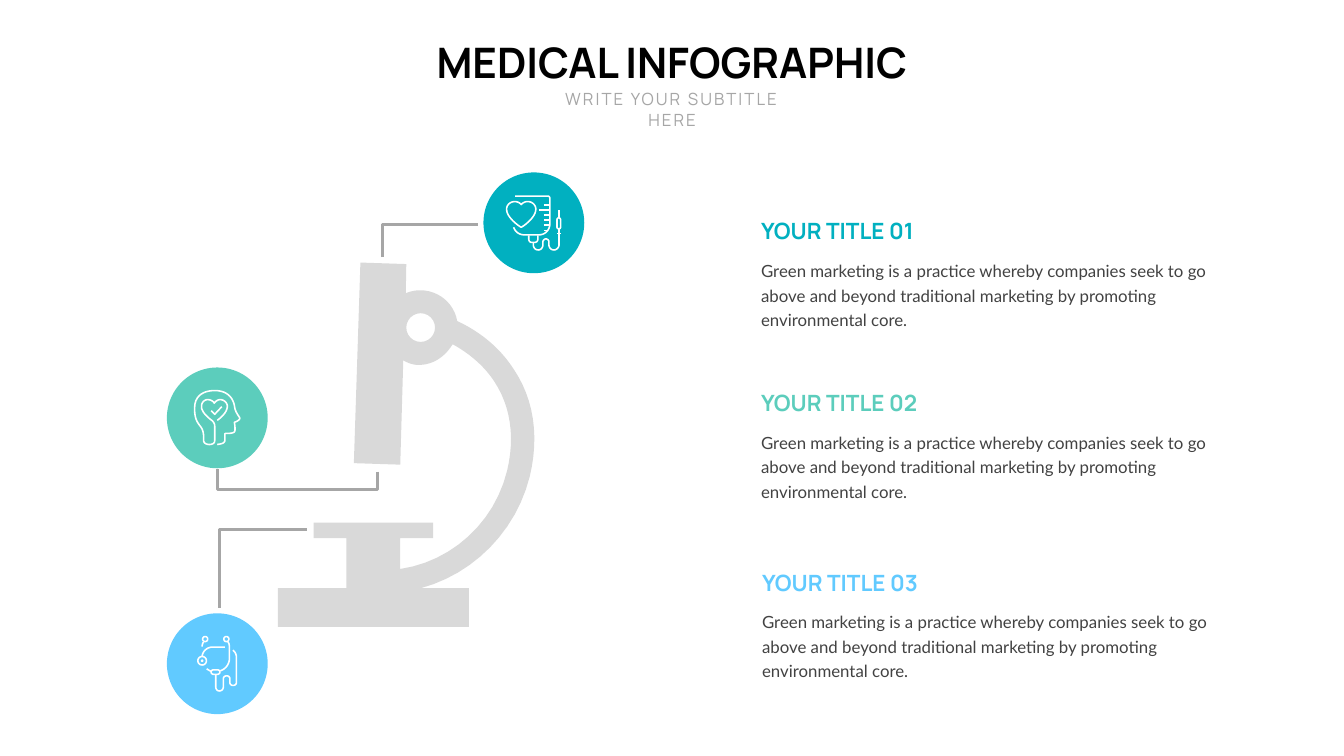
from dataclasses import dataclass
from math import cos, pi, sin

from pptx import Presentation
from pptx.dml.color import RGBColor
from pptx.enum.shapes import MSO_SHAPE
from pptx.enum.text import MSO_ANCHOR, MSO_AUTO_SIZE, PP_ALIGN
from pptx.util import Cm, Pt

OVAL = MSO_SHAPE.OVAL
TOP, MIDDLE = MSO_ANCHOR.TOP, MSO_ANCHOR.MIDDLE
LEFT, CENTER = PP_ALIGN.LEFT, PP_ALIGN.CENTER
GROW = MSO_AUTO_SIZE.SHAPE_TO_FIT_TEXT

BLACK = RGBColor(0x00, 0x00, 0x00)
WHITE = RGBColor(0xFF, 0xFF, 0xFF)
LIGHT_GRAY = RGBColor(0xD9, 0xD9, 0xD9)
GRAY = RGBColor(0xA6, 0xA6, 0xA6)
DARK_GRAY = RGBColor(0x42, 0x42, 0x42)
TEAL = RGBColor(0x01, 0xB0, 0xC0)
MINT = RGBColor(0x5C, 0xCD, 0xBC)
SKY = RGBColor(0x61, 0xCA, 0xFF)

HEADING_FONT, BODY_FONT = "Manrope", "Lato"
UNIT = Cm(0.0254)
CURVE_STEPS = 12
BADGE_SIZE = Cm(5.08)
BODY_OFFSET = Cm(1.98)
BODY = ("Green marketing is a practice whereby companies seek to go above and beyond "
        "traditional marketing by promoting environmental core.")

Contour = list[tuple[float, ...]]


@dataclass(frozen=True)
class Style:
    font: str
    size: float
    color: RGBColor
    bold: bool = False
    align: PP_ALIGN = LEFT
    anchor: MSO_ANCHOR = TOP
    wrap: bool = False


@dataclass(frozen=True)
class Topic:
    title: str
    color: RGBColor
    left: float
    top: float
    badge_left: float
    badge_top: float
    icon: list[Contour]
    leader: Contour


def ring(x: float, y: float, radius: float) -> Contour:
    angles = [2 * pi * step / 24 for step in range(25)]
    return [(x + radius * cos(a), y + radius * sin(a)) for a in angles]


MICROSCOPE = [
    [(715, 521), (702, 919), (794, 922), (800, 715), (810, 721, 822, 725, 834, 724),
     (859, 723, 880, 709, 894, 689), (895, 687, 897, 685, 898, 683),
     (932, 702, 960, 726, 980, 756), (1013, 806, 1022, 867, 1006, 934),
     (981, 1037, 896, 1114, 794, 1129), (794, 1068), (859, 1068), (859, 1037),
     (622, 1037), (622, 1068), (687, 1068), (687, 1167), (551, 1167), (551, 1244),
     (930, 1244), (930, 1167), (835, 1167), (939, 1139, 1024, 1054, 1051, 945),
     (1070, 865, 1059, 791, 1018, 731), (992, 691, 954, 659, 907, 637),
     (901, 602, 870, 576, 834, 576), (824, 576, 814, 578, 805, 582), (806, 524), (715, 521)],
    ring(834.5, 650, 28.5),
]

BLOOD_BAG = [
    [(1034, 406), (1031, 402, 1026, 400, 1021, 400), (1012, 400, 1005, 407, 1005, 415),
     (1005, 432, 1030, 449, 1034, 451), (1038, 449, 1063, 432, 1063, 415),
     (1063, 407, 1056, 400, 1047, 400), (1042, 400, 1037, 402, 1034, 406)],
    [(1022, 389), (1086, 389), (1089, 389, 1091, 391, 1091, 394), (1091, 443),
     (1091, 456, 1082, 466, 1069, 466), (1040, 466), (1030, 466, 1022, 460, 1019, 451)],
    *[[(1069 if y == 417 else 1079, y), (1087 if y == 457 else 1091, y)]
      for y in range(407, 458, 10)],
    [(1049, 467), (1049, 474), (1049, 478, 1051, 481, 1055, 481), (1060, 481),
     (1065, 481, 1067, 478, 1067, 474), (1067, 467)],
    [(1058, 482), (1058, 486), (1058, 491, 1062, 496, 1068, 496),
     (1073, 496, 1077, 491, 1077, 486), (1077, 480), (1077, 477, 1080, 474, 1083, 474),
     (1086, 474, 1089, 477, 1089, 480), (1089, 486), (1089, 491, 1093, 496, 1099, 496),
     (1104, 496, 1109, 491, 1109, 486), (1109, 454)],
    [(1105, 463), (1112, 463)],
    [(1105, 436), (1105, 431, 1112, 431, 1112, 436), (1112, 451),
     (1112, 455, 1105, 455, 1105, 451), (1105, 436)],
    [(1109, 417), (1109, 432)],
]

HEAD = [
    [(431, 882), (437, 881, 446, 880, 446, 874), (446, 862), (446, 860, 447, 860, 449, 860),
     (459, 860, 465, 859, 466, 855), (467, 849, 465, 838, 465, 838),
     (467, 837, 471, 836, 474, 833), (476, 831, 476, 830, 475, 828),
     (466, 815, 466, 810, 466, 810), (462, 777, 436, 775, 426, 775),
     (420, 775, 386, 775, 386, 810), (386, 832, 392, 838, 396, 844),
     (400, 849, 405, 855, 404, 874), (404, 880, 411, 882, 415, 882),
     (422, 882, 426, 879, 426, 874), (426, 845), (426, 842, 424, 837, 420, 834),
     (412, 828, 398, 816, 400, 805), (400, 798, 406, 793, 412, 793),
     (418, 793, 423, 796, 425, 800), (428, 796, 432, 793, 437, 793),
     (444, 793, 451, 799, 451, 806), (451, 818, 438, 829, 431, 834)],
    [(419, 815), (426, 822), (440, 807)],
]

STETHOSCOPE = [
    ring(401, 1311, 8.5), ring(401, 1311, 1), ring(407, 1268, 5), ring(449, 1268, 5),
    [(446, 1284), (421, 1284), (411, 1284, 402, 1292, 401, 1302)],
    [(401, 1283), (401, 1279, 402, 1276, 404, 1274)],
    [(452, 1273), (454, 1276, 455, 1279, 455, 1283), (455, 1307),
     (455, 1318, 447, 1328, 437, 1331)],
    [(410, 1327), (413, 1329, 416, 1331, 419, 1332)],
    [(424, 1329), (431, 1329), (438, 1329, 438, 1338, 431, 1338), (424, 1338),
     (417, 1338, 417, 1329, 424, 1329)],
    [(428, 1339), (428, 1363), (428, 1367, 431, 1371, 435, 1371),
     (440, 1371, 443, 1367, 443, 1363), (443, 1347), (443, 1343, 446, 1341, 450, 1341),
     (453, 1341, 456, 1343, 456, 1347), (456, 1354), (456, 1358, 459, 1360, 462, 1360),
     (466, 1360, 469, 1358, 469, 1354), (469, 1305), (469, 1299, 467, 1294, 462, 1290)],
]

TOPICS = [
    Topic("YOUR TITLE 01", TEAL, 38.1, 10.82, 24.36, 8.69, BLOOD_BAG,
          [(759, 510), (759, 445), (948, 445)]),
    Topic("YOUR TITLE 02", MINT, 38.1, 19.46, 8.41, 18.52, HEAD,
          [(749, 936), (749, 971), (431, 971), (431, 931)]),
    Topic("YOUR TITLE 03", SKY, 38.15, 28.52, 8.41, 30.91, STETHOSCOPE,
          [(609, 1051), (435, 1051), (435, 1207)]),
]


def flatten(contour: Contour) -> list[tuple[float, float]]:
    points = [contour[0]]
    for segment in contour[1:]:
        if len(segment) == 2:
            points.append(segment)
            continue
        controls = [points[-1], segment[:2], segment[2:4], segment[4:]]
        for step in range(1, CURVE_STEPS + 1):
            t = step / CURVE_STEPS
            weights = ((1 - t) ** 3, 3 * t * (1 - t) ** 2, 3 * t * t * (1 - t), t ** 3)
            points.append(tuple(sum(w * c[axis] for w, c in zip(weights, controls))
                                for axis in (0, 1)))
    return [(x * UNIT, y * UNIT) for x, y in points]


def draw_outline(slide, contours: list[Contour], color: RGBColor, stroke: float = 0) -> None:
    first, *others = [flatten(contour) for contour in contours]
    builder = slide.shapes.build_freeform(*first[0])
    builder.add_line_segments(first[1:], close=first[0] == first[-1])
    for points in others:
        builder.move_to(*points[0])
        builder.add_line_segments(points[1:], close=points[0] == points[-1])
    outline = builder.convert_to_shape()
    outline.shadow.inherit = False
    if stroke:
        outline.fill.background()
        outline.line.color.rgb = color
        outline.line.width = Pt(stroke)
    else:
        outline.fill.solid()
        outline.fill.fore_color.rgb = color
        outline.line.fill.background()


def write(box, text: str, style: Style):
    frame = box.text_frame
    frame.word_wrap = style.wrap
    frame.auto_size = GROW
    frame.vertical_anchor = style.anchor
    paragraph = frame.paragraphs[0]
    paragraph.text = text
    paragraph.alignment = style.align
    paragraph.font.name = style.font
    paragraph.font.size = Pt(style.size)
    paragraph.font.bold = style.bold
    paragraph.font.color.rgb = style.color
    return paragraph


def draw_topic(slide, topic: Topic) -> None:
    draw_outline(slide, [topic.leader], GRAY, 5)
    badge = slide.shapes.add_shape(OVAL, Cm(topic.badge_left), Cm(topic.badge_top),
                                   BADGE_SIZE, BADGE_SIZE)
    badge.shadow.inherit = False
    badge.fill.solid()
    badge.fill.fore_color.rgb = topic.color
    badge.line.fill.background()
    draw_outline(slide, topic.icon, WHITE, 2.25)
    left, top = Cm(topic.left), Cm(topic.top)
    heading = slide.shapes.add_textbox(left, top, Cm(8.4), Cm(1.63))
    write(heading, topic.title, Style(HEADING_FONT, 32, topic.color, True, anchor=MIDDLE))
    body = slide.shapes.add_textbox(left, top + BODY_OFFSET, Cm(25.35), Cm(2.62))
    paragraph = write(body, BODY, Style(BODY_FONT, 24, DARK_GRAY, wrap=True))
    paragraph.line_spacing = Pt(35)
    paragraph.space_before = Pt(4.8)


def main() -> None:
    deck = Presentation()
    deck.slide_width, deck.slide_height = Cm(67.72), Cm(38.1)
    slide = deck.slides.add_slide(deck.slide_layouts[5])
    title = slide.shapes.title
    title.left, title.top, title.width, title.height = Cm(21.18), Cm(1.7), Cm(25.35), Cm(2.82)
    write(title, "MEDICAL INFOGRAPHIC", Style(HEADING_FONT, 60, BLACK, True, CENTER))
    subtitle = slide.shapes.add_textbox(Cm(26.97), Cm(4.37), Cm(13.79), Cm(1.27))
    paragraph = write(subtitle, "WRITE YOUR SUBTITLE HERE",
                      Style(HEADING_FONT, 24, GRAY, align=CENTER, wrap=True))
    paragraph.runs[0].font._element.set("spc", "300")
    draw_outline(slide, MICROSCOPE, LIGHT_GRAY)
    for topic in TOPICS:
        draw_topic(slide, topic)
    deck.save("out.pptx")


if __name__ == "__main__":
    main()
